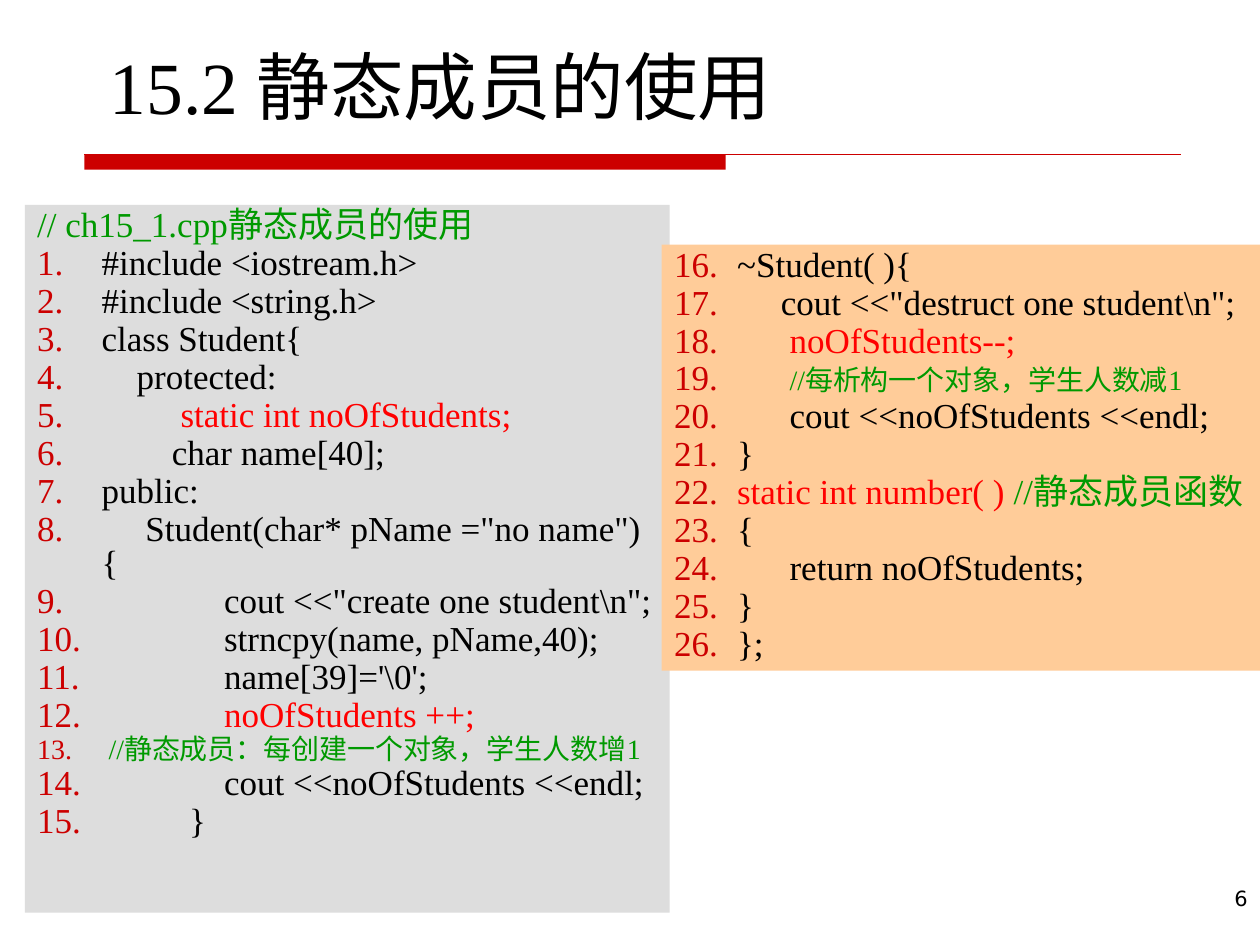
"""Build a slide that lists a C++ class with static members in two code panels."""
from dataclasses import dataclass

import lxml.etree
import pptx
import pptx.dml.color
import pptx.enum.shapes
import pptx.enum.text
import pptx.oxml.ns
import pptx.util

Cm = pptx.util.Cm
Pt = pptx.util.Pt
PP_ALIGN = pptx.enum.text.PP_ALIGN
MSO_ANCHOR = pptx.enum.text.MSO_ANCHOR


@dataclass(frozen=True)
class Theme:
    font: str = "Times New Roman"
    number_font: str = "DejaVu Sans"
    title_size: int = 42
    code_size: int = 20
    note_size: int = 16
    number_size: int = 12
    text: str = "000000"
    accent: str = "CC0000"
    static: str = "FF0000"
    comment: str = "009900"
    left_panel: str = "DDDDDD"
    right_panel: str = "FFCC99"


T = Theme()


def code(text, color=T.text, size=T.code_size):
    return text, {"color": color, "size": size}


def static(text):
    return code(text, T.static)


def comment(text, size=T.code_size):
    return code(text, T.comment, size)


HEADING = [comment("// ch15_1.cpp静态成员的使用")]

LEFT_LINES = [
    [code("#include <iostream.h>")],
    [code("#include <string.h>")],
    [code("class Student{")],
    [code("    protected:")],
    [code("         "), static("static int noOfStudents;")],
    [code("\t char name[40];")],
    [code("public:")],
    [code('     Student(char* pName ="no name"){')],
    [code('              cout <<"create one student\\n";')],
    [code("              strncpy(name, pName,40);")],
    [code("              name[39]='\\0';")],
    [static("              noOfStudents ++;")],
    [code(" ", size=T.note_size),
     comment("//静态成员：每创建一个对象，学生人数增1", T.note_size)],
    [code("              cout <<noOfStudents <<endl;")],
    [code("          }")],
]

RIGHT_LINES = [
    [code("~Student( ){")],
    [code('     cout <<"destruct one student\\n";')],
    [code("      "), static("noOfStudents--;")],
    [code("      "), comment("//每析构一个对象，学生人数减1", T.note_size)],
    [code("      cout <<noOfStudents <<endl;")],
    [code("}")],
    [static("static int number( ) "), comment("//静态成员函数")],
    [code("{")],
    [code("      return noOfStudents;")],
    [code("}")],
    [code("};")],
]


def rgb(value):
    return pptx.dml.color.RGBColor.from_string(value)


def add_run(p, text, size=T.code_size, color=T.text, font=T.font):
    r = p.add_run()
    r.text = text
    r.font.size = Pt(size)
    r.font.name = font
    r.font.color.rgb = rgb(color)


def add_text(s, box, text, align=PP_ALIGN.LEFT, anchor=MSO_ANCHOR.TOP, **fmt):
    tf = s.shapes.add_textbox(*map(Cm, box)).text_frame
    tf.word_wrap = True
    tf.vertical_anchor = anchor
    p = tf.paragraphs[0]
    p.alignment = align
    add_run(p, text, **fmt)


def sub(parent, tag, **attrs):
    return lxml.etree.SubElement(parent, pptx.oxml.ns.qn(tag), attrs)


def format_line(p, hang, start):
    pPr = p._p.get_or_add_pPr()
    pPr.set("marL", str(Cm(hang)))
    pPr.set("indent", str(-Cm(hang)))
    if start is None:
        sub(pPr, "a:buNone")
    else:
        sub(sub(pPr, "a:buClr"), "a:srgbClr", val=T.accent)
        sub(pPr, "a:buFont", typeface=T.font)
        sub(pPr, "a:buAutoNum", type="arabicPeriod", startAt=str(start))
    sub(sub(pPr, "a:tabLst"), "a:tab", pos=str(Cm(2.54)), algn="l")
    p.alignment = PP_ALIGN.LEFT
    p.line_spacing = 0.8


def add_block(s, box, fill):
    sp = s.shapes.add_shape(pptx.enum.shapes.MSO_SHAPE.RECTANGLE, *map(Cm, box))
    sp.shadow.inherit = False
    sp.fill.solid()
    sp.fill.fore_color.rgb = rgb(fill)
    sp.line.fill.background()
    return sp


def add_code(s, box, fill, lines, start=1, hang=1.3, heading=None, right=0.25):
    tf = add_block(s, box, fill).text_frame
    tf.word_wrap = True
    tf.margin_right = Cm(right)
    tf.vertical_anchor = MSO_ANCHOR.TOP
    rows = [(line, start) for line in lines]
    if heading:
        rows.insert(0, (heading, None))
    for i, (runs, first) in enumerate(rows):
        p = tf.add_paragraph() if i else tf.paragraphs[0]
        format_line(p, hang, first)
        if i:
            p.space_before = Pt(runs[-1][1]["size"] / 8)
        for text, fmt in runs:
            add_run(p, text, **fmt)


def add_rule(s, left, top, right):
    cn = s.shapes.add_connector(pptx.enum.shapes.MSO_CONNECTOR.STRAIGHT,
                                Cm(left), Cm(top), Cm(right), Cm(top))
    cn.line.color.rgb = rgb(T.accent)
    cn.line.width = Pt(0.75)
    sub(cn._element.spPr, "a:effectLst")


def main():
    prs = pptx.Presentation()
    prs.slide_width, prs.slide_height = Cm(25.4), Cm(19.05)
    s = prs.slides.add_slide(prs.slide_layouts[6])
    add_block(s, (1.7, 3.12, 12.93, 0.3), T.accent)
    add_rule(s, 1.7, 3.12, 23.8)
    add_text(s, (19.96, 17.73, 5.44, 1.32), "6", align=PP_ALIGN.RIGHT,
             size=T.number_size, font=T.number_font)
    add_text(s, (1.96, 0.85, 20.88, 1.88), "15.2 静态成员的使用",
             anchor=MSO_ANCHOR.BOTTOM, size=T.title_size)
    add_code(s, (0.5, 4.13, 13, 14.27), T.left_panel, LEFT_LINES, heading=HEADING)
    add_code(s, (13.34, 4.93, 12.14, 8.59), T.right_panel, RIGHT_LINES,
             start=16, hang=1.27, right=0)
    prs.save("out.pptx")


if __name__ == "__main__":
    main()
